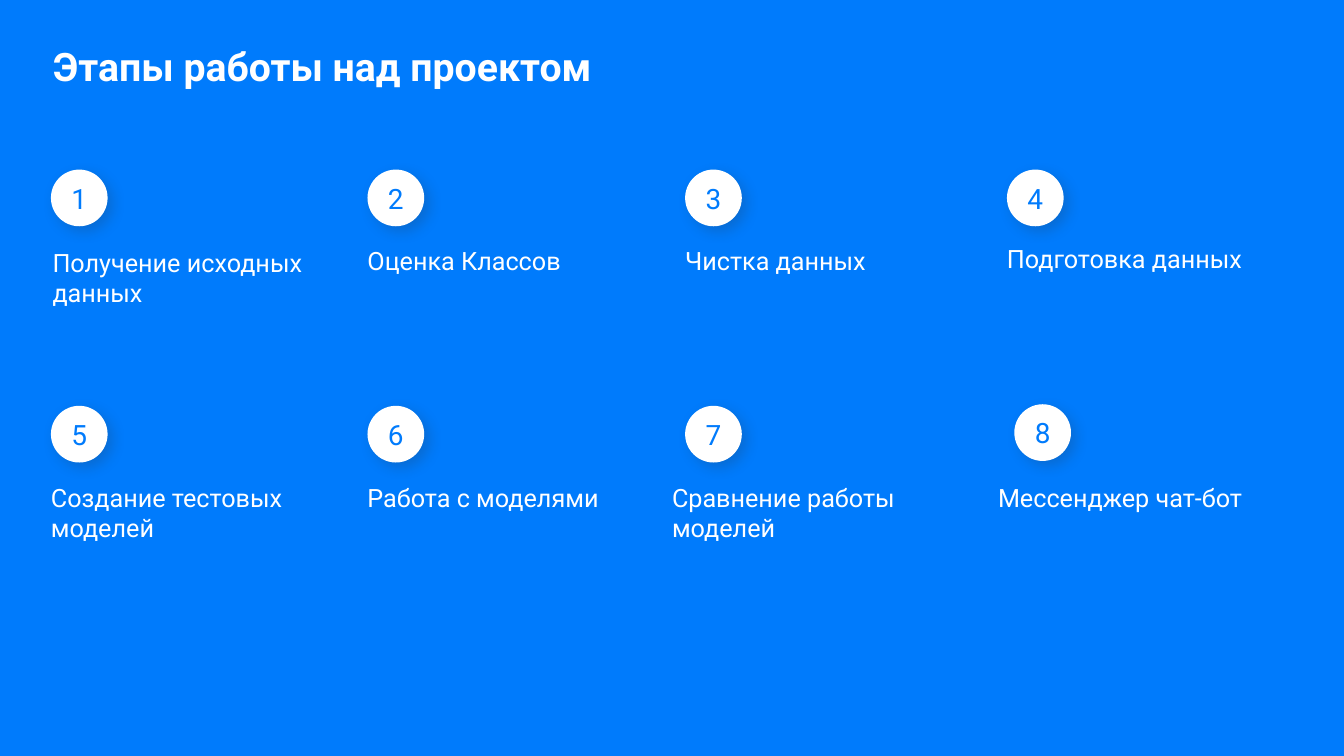
from lxml import etree
from pptx import Presentation
from pptx.dml.color import RGBColor
from pptx.enum.shapes import MSO_SHAPE
from pptx.enum.text import MSO_ANCHOR, PP_ALIGN
from pptx.oxml.ns import qn
from pptx.util import Emu, Pt

PX = 9525
BLUE = RGBColor(0x00, 0x7B, 0xFC)
WHITE = RGBColor(0xFF, 0xFF, 0xFF)
SHADOW = RGBColor(0x2C, 0x2C, 0x2C)
OVAL = MSO_SHAPE.OVAL
LEFT, CENTER = PP_ALIGN.LEFT, PP_ALIGN.CENTER
TOP, MIDDLE = MSO_ANCHOR.TOP, MSO_ANCHOR.MIDDLE

TITLE_FORMAT = {"name": "Roboto", "size": Pt(56), "bold": True}
NUMBER_FORMAT = {"name": "Roboto", "size": Pt(40), "bold": False}
LABEL_FORMAT = {"name": "Roboto", "size": Pt(36), "bold": False}
CIRCLE = 108

# Circle left, top; label left, top, width, height; label text
STEPS = [
    (97, 323, 100, 471, 496, 116, "Получение исходных данных"),
    (700, 323, 700, 468, 549, 116, "Оценка Классов"),
    (1305, 323, 1305, 468, 557, 58, "Чистка данных"),
    (1918, 323, 1918, 463, 549, 58, "Подготовка данных"),
    (97, 773, 97, 918, 562, 116, "Создание тестовых моделей"),
    (700, 773, 700, 918, 549, 58, "Работа с моделями"),
    (1305, 773, 1280, 918, 557, 116, "Сравнение работы моделей"),
    (1932, 770, 1901, 918, 557, 58, "Мессенджер чат-бот"),
]


def write(shape, text, font_format, color, margin=0, align=LEFT, anchor=TOP):
    """Put one formatted paragraph into the shape."""
    frame = shape.text_frame
    frame.word_wrap = True
    frame.vertical_anchor = anchor
    for side in ("left", "top", "right", "bottom"):
        setattr(frame, f"margin_{side}", Emu(margin * PX))
    paragraph = frame.paragraphs[0]
    paragraph.alignment = align
    run = paragraph.add_run()
    run.text = text
    for name, value in font_format.items():
        setattr(run.font, name, value)
    run.font.color.rgb = color


def add_soft_shadow(shape):
    shape.shadow.inherit = False
    effects = shape._element.spPr.find(qn("a:effectLst"))
    outer = etree.SubElement(
        effects, qn("a:outerShdw"), blurRad=str(Pt(20)), dist=str(Pt(10)),
        dir=str(45 * 60000), algn="ctr", rotWithShape="0")
    color = etree.SubElement(outer, qn("a:srgbClr"), val=str(SHADOW))
    etree.SubElement(color, qn("a:alpha"), val="20000")


presentation = Presentation()
presentation.slide_width = Emu(2560 * PX)
presentation.slide_height = Emu(1440 * PX)
slide = presentation.slides.add_slide(presentation.slide_layouts[6])
slide.background.fill.solid()
slide.background.fill.fore_color.rgb = BLUE

title = slide.shapes.add_textbox(*(Emu(n * PX) for n in (96, 76, 1771, 240)))
write(title, "Этапы работы над проектом", TITLE_FORMAT, WHITE, margin=5)

for number, (left, top, *label_box, text) in enumerate(STEPS, start=1):
    circle_box = (left, top, CIRCLE, CIRCLE)
    circle = slide.shapes.add_shape(OVAL, *(Emu(n * PX) for n in circle_box))
    circle.fill.solid()
    circle.fill.fore_color.rgb = WHITE
    circle.line.fill.background()
    add_soft_shadow(circle)
    write(circle, str(number), NUMBER_FORMAT, BLUE, align=CENTER, anchor=MIDDLE)

    label = slide.shapes.add_textbox(*(Emu(n * PX) for n in label_box))
    write(label, text, LABEL_FORMAT, WHITE)

presentation.save("out.pptx")
